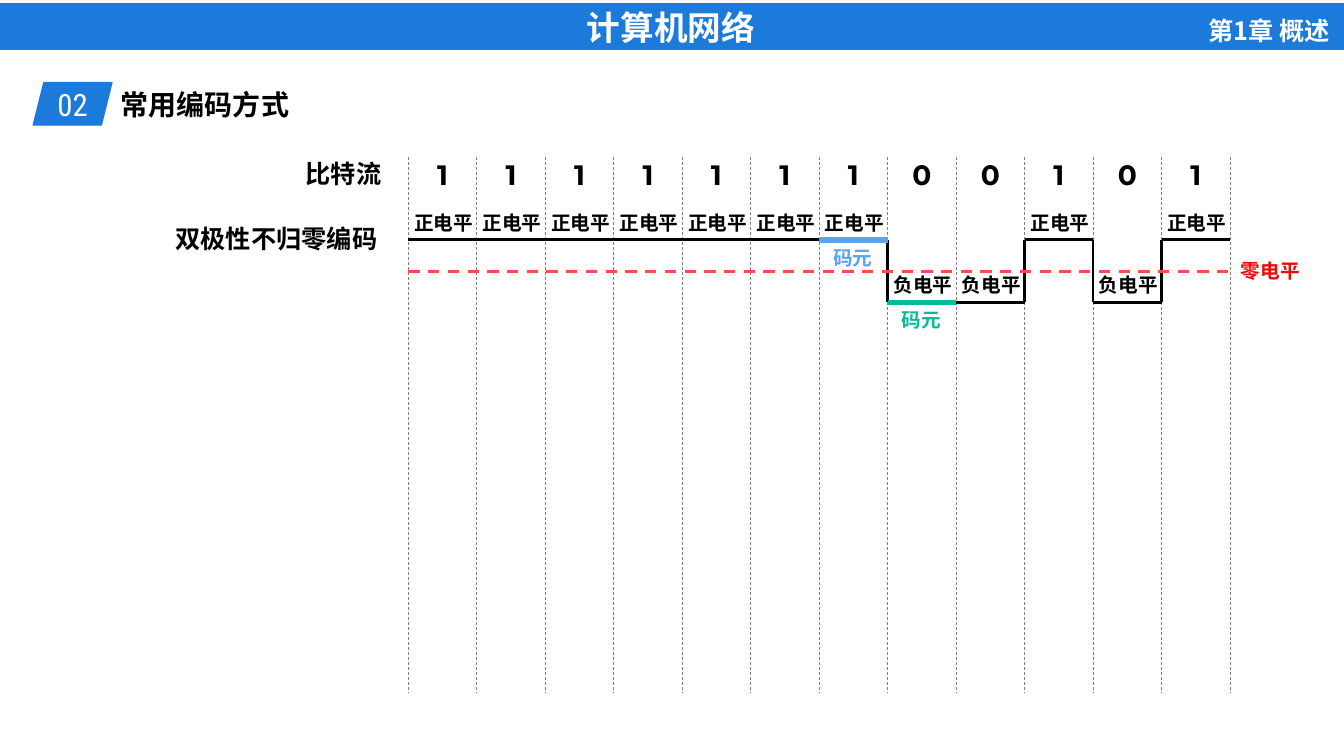
from itertools import groupby

from lxml import etree
from pptx import Presentation
from pptx.dml.color import RGBColor
from pptx.enum.dml import MSO_LINE
from pptx.enum.shapes import MSO_CONNECTOR, MSO_SHAPE
from pptx.enum.text import MSO_ANCHOR, PP_ALIGN
from pptx.oxml.ns import qn
from pptx.util import Inches, Pt

LEFT, CENTER, RIGHT = PP_ALIGN.LEFT, PP_ALIGN.CENTER, PP_ALIGN.RIGHT
MIDDLE = MSO_ANCHOR.MIDDLE
RECT, PARALLELOGRAM = MSO_SHAPE.RECTANGLE, MSO_SHAPE.PARALLELOGRAM
STRAIGHT = MSO_CONNECTOR.STRAIGHT
DASH = MSO_LINE.DASH

LATIN, CJK = "Arial Narrow", "Noto Sans CJK SC"
BLUE, WHITE, BLACK, GREY = "1B7ADA", "FFFFFF", "000000", "808080"
RED, PINK, SKY, GREEN = "EB0909", "F84D4D", "5BA3EB", "06BB9A"

BITS = "111111100101"
SYMBOLS = ((6, SKY), (7, GREEN))


def rgb(value):
    return RGBColor.from_string(value)


def write(s, text, size, color, align, font=LATIN, bold=True):
    tf = s.text_frame
    tf.word_wrap = True
    p = tf.paragraphs[0]
    p.alignment = align
    r = p.add_run()
    r.text = text
    r.font.size = Pt(size)
    r.font.name = font
    r.font.bold = bold
    r.font.color.rgb = rgb(color)
    ea = etree.SubElement(r.font._element, qn("a:ea"))
    ea.set("typeface", CJK)


def add_label(slide, x, y, w, h, *style, **options):
    s = slide.shapes.add_textbox(Inches(x), Inches(y), Inches(w), Inches(h))
    write(s, *style, **options)


def add_panel(slide, kind, x, y, w, h, *style, **options):
    s = slide.shapes.add_shape(kind, Inches(x), Inches(y), Inches(w), Inches(h))
    s.shadow.inherit = False
    s.fill.solid()
    s.fill.fore_color.rgb = rgb(BLUE)
    s.line.color.rgb = rgb(BLUE)
    s.line.width = Pt(1)
    s.text_frame.vertical_anchor = MIDDLE
    write(s, *style, **options)


def add_line(slide, x1, y1, x2, y2, color, width, dash=None):
    s = slide.shapes.add_connector(
        STRAIGHT, Inches(x1), Inches(y1), Inches(x2), Inches(y2))
    s.line.color.rgb = rgb(color)
    s.line.width = Pt(width)
    if dash:
        s.line.dash_style = dash
    etree.SubElement(s._element.spPr, qn("a:effectLst"))


def add_header(slide, x, y, w, h):
    add_panel(slide, RECT, x, y, w, h, "计算机网络", 24, WHITE, CENTER)
    add_label(slide, x + w - 2.22, y + 0.06, 2.18, 0.4,
              "第1章 概述", 18, WHITE, RIGHT, font=CJK)


def add_section_title(slide, x, y, w, h):
    badge = 0.78
    add_panel(slide, PARALLELOGRAM, x, y, badge, h, "02", 22, WHITE, CENTER,
              font="Roboto Condensed", bold=False)
    add_label(slide, x + badge - 0.01, y, w - badge, 0.44,
              "常用编码方式", 20, BLACK, LEFT)


def add_bit_grid(slide, x, y, w, h):
    step = w / len(BITS)
    for i in range(len(BITS) + 1):
        add_line(slide, x + i * step, y, x + i * step, y + h, GREY, 0.5, DASH)
    add_label(slide, x - 1.87, y - 0.04, 1.7, 0.4, "比特流", 18, BLACK, RIGHT)
    for i, bit in enumerate(BITS):
        add_label(slide, x + (i + 0.5) * step - 0.21, y - 0.05, 0.42, 0.44,
                  bit, 20, BLACK, CENTER, font="Montserrat")


def add_waveform(slide, x, y, w, h):
    step = w / len(BITS)
    level = {"1": y, "0": y + h}
    name = {"1": "正电平", "0": "负电平"}

    start = 0
    for bit, run in groupby(BITS):
        end = start + len(list(run))
        if start:
            add_line(slide, x + start * step, y, x + start * step, y + h,
                     BLACK, 2)
        add_line(slide, x + start * step, level[bit], x + end * step,
                 level[bit], BLACK, 2)
        start = end

    add_label(slide, x - 2.54, y - 0.21, 2.33, 0.4,
              "双极性不归零编码", 18, BLACK, RIGHT)
    for i, bit in enumerate(BITS):
        add_label(slide, x + (i + 0.5) * step - 0.4, level[bit] - 0.34,
                  0.82, 0.34, name[bit], 14, BLACK, CENTER)

    zero = y + h / 2
    add_line(slide, x, zero, x + w, zero, PINK, 2, DASH)
    add_label(slide, x + w - 0.01, zero - 0.17, 0.82, 0.34,
              "零电平", 14, RED, CENTER)
    for i, color in SYMBOLS:
        left, top = x + i * step, level[BITS[i]]
        add_line(slide, left, top, left + step, top, color, 4)
        add_label(slide, left, top + 0.01, 0.67, 0.34,
                  "码元", 14, color, CENTER)


def main():
    prs = Presentation()
    prs.slide_width, prs.slide_height = Inches(13.33), Inches(7.5)
    slide = prs.slides.add_slide(prs.slide_layouts[6])
    add_header(slide, -0.02, 0.04, 13.35, 0.45)
    add_section_title(slide, 0.33, 0.82, 6.85, 0.42)
    add_bit_grid(slide, 4.05, 1.56, 8.15, 5.32)
    add_waveform(slide, 4.05, 2.38, 8.15, 0.62)
    prs.save("out.pptx")


if __name__ == "__main__":
    main()
